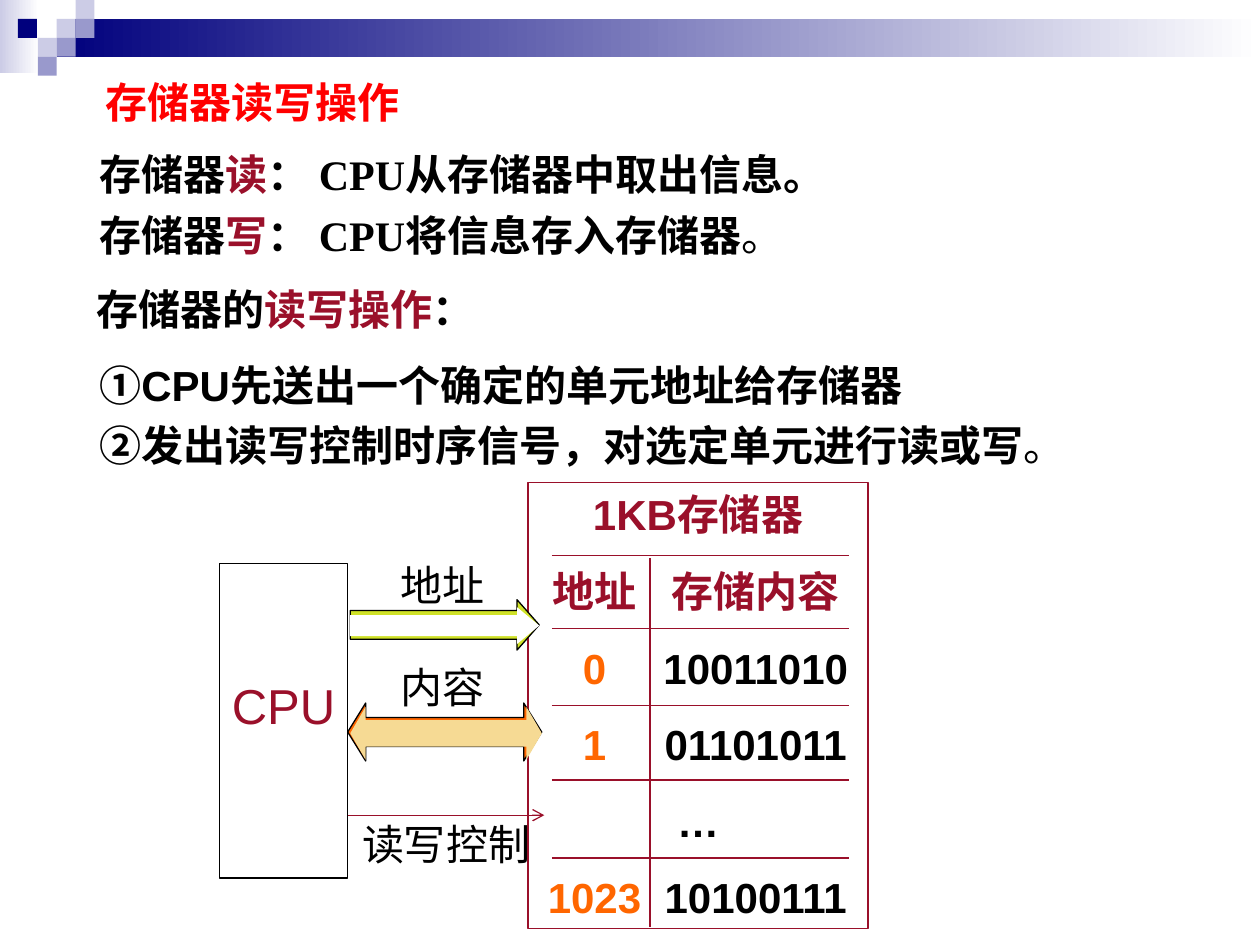
from dataclasses import dataclass
from typing import Optional

from lxml import etree
from pptx import Presentation
from pptx import util as u
from pptx.dml.color import RGBColor
from pptx.enum import shapes, text
from pptx.oxml.ns import qn

# The slide is a grid of 100 columns by 75 rows.
UNIT = u.Inches(0.1)
MOSAIC_CELL = 1.5
LINE_HEIGHT = 1.2

BLACK = RGBColor(0x00, 0x00, 0x00)
WHITE = RGBColor(0xFF, 0xFF, 0xFF)
RED = RGBColor(0xFF, 0x00, 0x00)
CRIMSON = RGBColor(0x9A, 0x10, 0x2A)
ORANGE = RGBColor(0xFF, 0x66, 0x00)
SAND = RGBColor(0xF6, 0xDA, 0x94)
LIME = RGBColor(0xD0, 0xE2, 0x28)
NAVY = RGBColor(0x00, 0x00, 0x7D)
LILAC = RGBColor(0xCC, 0xCC, 0xE6)
VIOLET = RGBColor(0x99, 0x99, 0xCC)

CJK = "Noto Sans CJK SC"
SERIF = "Times New Roman"
SANS = "Arial"
KIND = shapes.MSO_SHAPE


@dataclass(frozen=True)
class Box:
    left: float
    top: float
    width: float
    height: float

    def lengths(self) -> list[int]:
        return [grid(v) for v in (self.left, self.top, self.width, self.height)]


@dataclass(frozen=True)
class Span:
    words: str
    color: RGBColor = BLACK
    font: str = SANS
    bold: bool = True
    size: int = 24


@dataclass(frozen=True)
class Arrow:
    kind: KIND
    box: Box
    adjustments: tuple[float, float]
    fill: RGBColor
    line: Optional[RGBColor] = None


TITLE = Span("存储器读写操作", RED)

STATEMENTS = [
    (Box(6.9, 11.3, 69, 10.2), [
        [Span("存储器", font=SERIF), Span("读", CRIMSON, SERIF),
         Span("： CPU从存储器中取出信息。", font=SERIF)],
        [Span("存储器", font=SERIF), Span("写", CRIMSON, SERIF),
         Span("： CPU将信息存入存储器", font=SERIF), Span("。", font=SERIF, bold=False)],
    ]),
    (Box(6.7, 22, 78.1, 4.8), [
        [Span("存储器的", font=CJK), Span("读写操作", CRIMSON, CJK), Span("：", font=CJK)],
    ]),
    (Box(6.9, 28, 85.8, 11.5), [
        [Span("①", font=CJK), Span("CPU先送出一个确定的单元地址给存储器")],
        [Span("②", font=CJK), Span("发出读写控制时序信号，对选定单元进行读或写"),
         Span("。", bold=False)],
    ]),
]

MEMORY = Box(41.9, 38.3, 27, 35.4)
MEMORY_TABS = (4.3, 17.1)
MEMORY_ROWS = [
    [Span("1KB存储器", CRIMSON)],
    [Span("\t地址", CRIMSON), Span("\t存储内容", CRIMSON)],
    [Span("\t0", ORANGE), Span("\t10011010")],
    [Span("\t1", ORANGE), Span("\t01101011")],
    [Span("…")],
    [Span("\t1023", ORANGE), Span("\t10100111")],
]
RULE_ROWS = (44.1, 49.9, 56, 61.9, 68.1)

ARROWS = [
    Arrow(KIND.LEFT_RIGHT_ARROW, Box(27.6, 55.8, 15.4, 4.6), (0.5, 0.31), ORANGE, BLACK),
    Arrow(KIND.RIGHT_ARROW, Box(27.8, 47.6, 15, 4), (0.57, 0.44), LIME, BLACK),
    Arrow(KIND.RIGHT_ARROW, Box(27.8, 48.2, 15, 2.9), (0.57, 0.6), WHITE),
    Arrow(KIND.LEFT_RIGHT_ARROW, Box(27.8, 56.1, 15.2, 4.2), (0.5, 0.29), SAND),
]

BUS_LABELS = [
    ("地址", Box(30.8, 43.9, 8.7, 5)),
    ("内容", Box(30.8, 52, 8.7, 5)),
    ("读写控制", Box(26.9, 64.5, 17, 5)),
]

# Column and row of each small square, counted in mosaic cells.
MOSAIC = [(3, 1, LILAC), (4, 0, LILAC), (4, 1, VIOLET), (2, 2, LILAC),
          (0.95, 1, NAVY), (3, 2, VIOLET), (2, 3, VIOLET)]


def grid(units: float) -> int:
    return u.Emu(round(units * UNIT))


def add_filled(slide, kind: KIND, box: Box, fill: RGBColor, line: Optional[RGBColor] = None):
    shape = slide.shapes.add_shape(kind, *box.lengths())
    shape.shadow.inherit = False
    shape.fill.solid()
    shape.fill.fore_color.rgb = fill
    if line is None:
        shape.line.fill.background()
    else:
        shape.line.color.rgb = line
        shape.line.width = u.Pt(0.75)
    return shape


def add_fade(slide, box: Box, start: RGBColor) -> None:
    """Add a bar that fades from the start colour to white at its right end."""
    shape = add_filled(slide, KIND.RECTANGLE, box, start)
    shape.fill.gradient()
    shape.fill.gradient_angle = 0
    for stop, color in zip(shape.fill.gradient_stops, (start, WHITE)):
        stop.color.rgb = color


def add_rule(slide, start: tuple[float, float], end: tuple[float, float], arrow: bool = False) -> None:
    ends = [grid(value) for value in (*start, *end)]
    connector = slide.shapes.add_connector(shapes.MSO_CONNECTOR.STRAIGHT, *ends)
    connector.line.color.rgb = CRIMSON
    connector.line.width = u.Pt(0.75)
    if arrow:
        etree.SubElement(connector.line._get_or_add_ln(), qn("a:tailEnd"), type="arrow")
    etree.SubElement(connector._element.spPr, qn("a:effectLst"))


def add_center_tabs(paragraph, positions: tuple[float, ...]) -> None:
    tabs = etree.SubElement(paragraph._p.get_or_add_pPr(), qn("a:tabLst"))
    for position in positions:
        etree.SubElement(tabs, qn("a:tab"), pos=str(grid(position)), algn="ctr")


def write(shape, lines: list[list[Span]], space_before: float = 0,
          align=text.PP_ALIGN.LEFT, anchor=text.MSO_ANCHOR.TOP,
          tabs: tuple[float, ...] = ()) -> None:
    frame = shape.text_frame
    frame.word_wrap = True
    frame.vertical_anchor = anchor
    for index, spans in enumerate(lines):
        paragraph = frame.paragraphs[0] if index == 0 else frame.add_paragraph()
        tabbed = spans[0].words.startswith("\t")
        if tabbed:
            add_center_tabs(paragraph, tabs)
        paragraph.alignment = text.PP_ALIGN.LEFT if tabbed else align
        paragraph.line_spacing = u.Pt(spans[0].size * LINE_HEIGHT)
        paragraph.space_before = u.Pt(space_before if index else 0)
        for span in spans:
            run = paragraph.add_run()
            run.text = span.words
            run.font.name = span.font
            run.font.size = u.Pt(span.size)
            run.font.bold = span.bold
            run.font.color.rgb = span.color


def add_banner(slide) -> None:
    add_fade(slide, Box(0, 0, 3.1, 5.8), LILAC)
    add_fade(slide, Box(4.5, 1.5, 95.5, 3), NAVY)
    for column, row, color in MOSAIC:
        cell = Box(column * MOSAIC_CELL, row * MOSAIC_CELL, MOSAIC_CELL, MOSAIC_CELL)
        add_filled(slide, KIND.RECTANGLE, cell, color)


def add_diagram(slide) -> None:
    centered = dict(align=text.PP_ALIGN.CENTER, anchor=text.MSO_ANCHOR.MIDDLE)
    memory = add_filled(slide, KIND.RECTANGLE, MEMORY, WHITE, CRIMSON)
    write(memory, MEMORY_ROWS, 15, tabs=MEMORY_TABS, **centered)
    for row in RULE_ROWS:
        add_rule(slide, (43.8, row), (67.4, row))
    add_rule(slide, (51.6, 44.3), (51.6, 73.6))

    cpu = add_filled(slide, KIND.RECTANGLE, Box(17.4, 44.7, 10.2, 25), WHITE, BLACK)
    write(cpu, [[Span("CPU", CRIMSON, bold=False, size=28)]], **centered)
    cpu.text_frame.margin_left = cpu.text_frame.margin_right = 0
    cpu.text_frame.margin_bottom = grid(3)

    for arrow in ARROWS:
        shape = add_filled(slide, arrow.kind, arrow.box, arrow.fill, arrow.line)
        for index, value in enumerate(arrow.adjustments):
            shape.adjustments[index] = value
    add_rule(slide, (27.6, 64.7), (43.2, 64.7), arrow=True)
    for words, box in BUS_LABELS:
        write(slide.shapes.add_textbox(*box.lengths()), [[Span(words, bold=False)]], **centered)


def main() -> None:
    presentation = Presentation()
    presentation.slide_width, presentation.slide_height = grid(100), grid(75)
    slide = presentation.slides.add_slide(presentation.slide_layouts[5])
    add_banner(slide)
    title = slide.shapes.title
    title.left, title.top, title.width, title.height = Box(7.4, 5.6, 38.6, 5).lengths()
    write(title, [[TITLE]])
    for box, lines in STATEMENTS:
        write(slide.shapes.add_textbox(*box.lengths()), lines, 6)
    add_diagram(slide)
    presentation.save("out.pptx")


if __name__ == "__main__":
    main()
